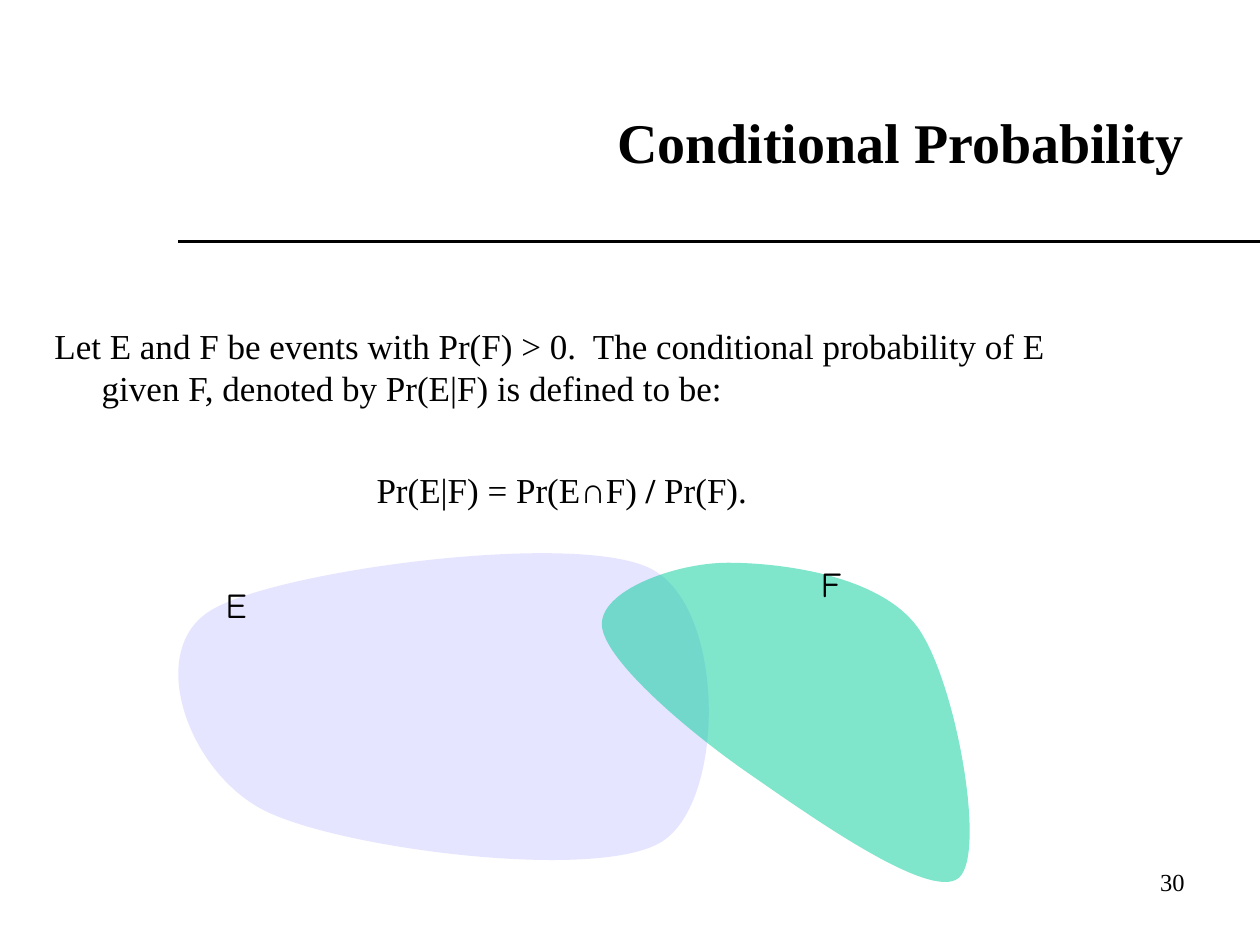
from dataclasses import dataclass

from lxml.etree import SubElement
from pptx import Presentation
from pptx.dml.color import RGBColor
from pptx.enum.shapes import MSO_CONNECTOR as Connector
from pptx.enum.text import MSO_ANCHOR as Anchor, PP_ALIGN as Align
from pptx.oxml.ns import qn
from pptx.util import Pt


@dataclass(frozen=True)
class Theme:
    ink: str = "000000"
    event_e: str = "CCCCFF"
    event_f: str = "00CC99"
    serif: str = "Times New Roman"
    symbol: str = "Arial"
    hand: str = "Comic Neue"
    title: int = 32
    body: int = 20
    number: int = 14
    rule: float = 2.25
    hanging: int = 27


THEME = Theme()


def write_text(slide, box, paragraphs, *, size=THEME.body, font=THEME.serif, bold=False,
               align=Align.LEFT, anchor=Anchor.TOP, hanging=0, bottom_inset=3.6):
    """Place text; each paragraph is (runs, format), each run (text, format)."""
    if isinstance(paragraphs, str):
        paragraphs = [([(paragraphs, {})], {})]
    frame = slide.shapes.add_textbox(*map(Pt, box)).text_frame
    frame.word_wrap = True
    frame.vertical_anchor = anchor
    frame.margin_bottom = Pt(bottom_inset)
    for index, (runs, layout) in enumerate(paragraphs):
        paragraph = frame.add_paragraph() if index else frame.paragraphs[0]
        paragraph.alignment = layout.get("align", align)
        if "before" in layout:
            paragraph.space_before = Pt(layout["before"])
        if hanging:
            properties = paragraph._p.get_or_add_pPr()
            properties.set("marL", str(Pt(hanging)))
            properties.set("indent", str(-Pt(hanging)))
        for words, style in runs:
            run = paragraph.add_run()
            run.text = words
            run.font.size = Pt(size)
            run.font.name = style.get("font", font)
            run.font.bold = style.get("bold", bold)
            run.font.color.rgb = RGBColor.from_string(THEME.ink)


def draw_region(slide, box, start, curves, color):
    """Draw a closed, half-transparent outline of cubic curves, in points from the box corner."""
    left, top, _, _ = box
    points = [(Pt(left + x), Pt(top + y)) for x, y in [start, *curves]]
    builder = slide.shapes.build_freeform(*points[0])
    builder.add_line_segments(points[1:], close=True)
    region = builder.convert_to_shape()
    region.shadow.inherit = False
    region.line.fill.background()
    region.fill.solid()
    region.fill.fore_color.rgb = RGBColor.from_string(color)
    color_node = next(region._element.spPr.iter(qn("a:srgbClr")))
    SubElement(color_node, qn("a:alpha"), val="50000")

    # Every three points become the two controls and the end of one curve
    outline = next(region._element.iter(qn("a:path")))
    segments = outline.findall(qn("a:lnTo"))
    for first in range(0, len(segments), 3):
        curve = outline.makeelement(qn("a:cubicBezTo"))
        segments[first].addprevious(curve)
        for segment in segments[first:first + 3]:
            curve.append(segment[0])
            outline.remove(segment)


def add_header(slide, box):
    left, top, width, height = box
    # Title
    write_text(slide, (left + 17, top, 667, height - 30), "Conditional Probability",
               size=THEME.title, bold=True, align=Align.RIGHT,
               anchor=Anchor.BOTTOM, bottom_inset=8)
    # Rule running to the slide's right edge
    base = Pt(top + height)
    rule = slide.shapes.add_connector(Connector.STRAIGHT, Pt(left + 102), base,
                                      Pt(left + width), base)
    rule.line.color.rgb = RGBColor.from_string(THEME.ink)
    rule.line.width = Pt(THEME.rule)
    SubElement(rule._element.spPr, qn("a:effectLst"))


def add_definition(slide, box):
    statement = [("Let E and F be events with Pr(F) > 0.  The conditional probability of E "
                  "given F, denoted by Pr(E|F) is defined to be:", {})]
    formula = [("Pr(E|F) = Pr(E", {}), ("∩", {"font": THEME.symbol}), ("F) ", {}),
               ("/ ", {"bold": True}), ("Pr(F).", {})]
    write_text(slide, box, [(statement, {}), (formula, {"align": Align.CENTER, "before": 34})],
               hanging=THEME.hanging)


def add_venn(slide, box):
    left, top, _, _ = box
    # Event E
    draw_region(slide, (left, top, 332, 201), (37.2, 46),
                [(0, 69), (24.4, 137.4), (67.2, 159.7),
                 (110, 182), (258.5, 201), (295.2, 178),
                 (332, 155), (332, 44), (289, 22),
                 (246, 0), (74, 23), (37.2, 46)], THEME.event_e)
    # Event F
    draw_region(slide, (left + 259, top + 18.6, 222, 194), (182, 36.4),
                [(160, 7), (104, 0), (74, 0),
                 (44, 0), (0, 16), (2, 36.4),
                 (4.2, 56.5), (52, 97), (86, 120.5),
                 (120, 144), (190, 194), (206, 180),
                 (222, 166), (204, 66), (182, 36.4)], THEME.event_f)
    # Event labels
    for name, x, y, align in [("F", 379, 15, Align.LEFT), ("E", 25, 27, Align.CENTER)]:
        write_text(slide, (left + x, top + y, 54, 48), name, font=THEME.hand, align=align)


def add_page_number(slide, box):
    write_text(slide, box, "30", size=THEME.number, align=Align.RIGHT)


def main():
    deck = Presentation()
    deck.slide_width, deck.slide_height = Pt(720), Pt(540)
    slide = deck.slides.add_slide(deck.slide_layouts[6])
    add_header(slide, (0, 18, 720, 120))
    add_definition(slide, (24, 182, 594, 48))
    add_venn(slide, (83, 303, 481, 213))
    add_page_number(slide, (516, 492, 168, 37))
    deck.save("out.pptx")


if __name__ == "__main__":
    main()
